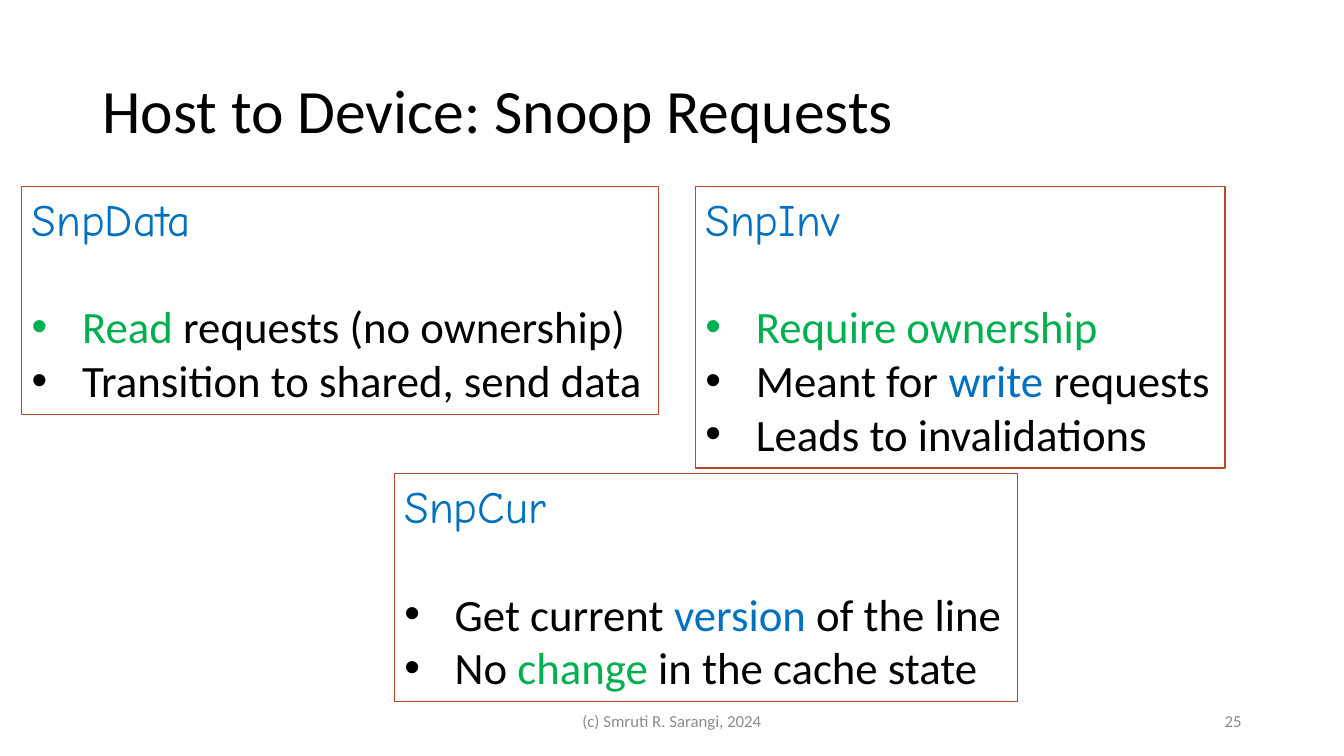
import pptx
import pptx.util
import pptx.dml.color
import pptx.enum.shapes
import pptx.enum.text
from lxml import etree
from pptx.oxml.ns import qn
from pptx.util import Cm

BLACK, WHITE, GREY = "000000", "FFFFFF", "8C8C8C"
BLUE, GREEN, RUST = "0070C0", "00B050", "B64926"
ALIGN = pptx.enum.text.PP_ALIGN
ANCHOR = pptx.enum.text.MSO_ANCHOR

# Each request: heading, position and size in cm, bullets made of (text, colour) runs
REQUESTS = [
    ("SnpData", (0.55, 4.7, 16.05, 5.74), [
        [("Read", GREEN), (" requests (no ownership)", BLACK)],
        [("Transition to shared, send data", BLACK)],
    ]),
    ("SnpInv", (17.53, 4.7, 13.34, 7.09), [
        [("Require ownership", GREEN)],
        [("Meant for ", BLACK), ("write", BLUE), (" requests", BLACK)],
        [("Leads to invalidations", BLACK)],
    ]),
    ("SnpCur", (9.94, 11.94, 15.7, 5.74), [
        [("Get current ", BLACK), ("version", BLUE), (" of the line", BLACK)],
        [("No ", BLACK), ("change", GREEN), (" in the cache state", BLACK)],
    ]),
]


def colour(value):
    return pptx.dml.color.RGBColor.from_string(value)


def add_text(paragraph, text, size=32, font="Calibri", color=BLACK):
    run = paragraph.add_run()
    run.text = text
    run.font.size = pptx.util.Pt(size)
    run.font.name = font
    run.font.color.rgb = colour(color)


def add_bullet(paragraph):
    properties = paragraph._p.get_or_add_pPr()
    properties.set("marL", str(Cm(1.27)))
    properties.set("indent", str(-Cm(1.27)))
    etree.SubElement(properties, qn("a:buFont")).set("typeface", "Arial")
    etree.SubElement(properties, qn("a:buChar")).set("char", "•")


def set_title(slide, text):
    title = slide.shapes.title
    title.left, title.top, title.width, title.height = map(Cm, (2.33, 1.02, 29.21, 3.68))
    title.text_frame.vertical_anchor = ANCHOR.MIDDLE
    paragraph = title.text_frame.paragraphs[0]
    paragraph.alignment = ALIGN.LEFT
    paragraph.line_spacing = 0.9
    add_text(paragraph, text, size=44)


def add_request_box(slide, heading, place, bullets):
    box = slide.shapes.add_shape(
        pptx.enum.shapes.MSO_SHAPE.RECTANGLE, *map(Cm, place))
    box.shadow.inherit = False
    box.fill.solid()
    box.fill.fore_color.rgb = colour(WHITE)
    box.line.color.rgb = colour(RUST)
    box.line.width = pptx.util.Pt(1)

    frame = box.text_frame
    frame.word_wrap = False
    frame.auto_size = pptx.enum.text.MSO_AUTO_SIZE.SHAPE_TO_FIT_TEXT
    frame.vertical_anchor = ANCHOR.TOP
    paragraph = frame.paragraphs[0]
    paragraph.alignment = ALIGN.LEFT
    add_text(paragraph, heading, font="Comic Neue", color=BLUE)

    for index, runs in enumerate(bullets):
        paragraph = frame.add_paragraph()
        paragraph.alignment = ALIGN.LEFT
        if index == 0:
            paragraph.space_before = pptx.util.Pt(38.4)
        add_bullet(paragraph)
        for text, color in runs:
            add_text(paragraph, text, color=color)


def add_footer(slide, text, left, width, alignment):
    box = slide.shapes.add_textbox(Cm(left), Cm(17.65), Cm(width), Cm(1.02))
    box.text_frame.word_wrap = True
    box.text_frame.vertical_anchor = ANCHOR.MIDDLE
    paragraph = box.text_frame.paragraphs[0]
    paragraph.alignment = alignment
    add_text(paragraph, text, size=12, color=GREY)


def main():
    presentation = pptx.Presentation()
    presentation.slide_width = Cm(33.87)
    presentation.slide_height = Cm(19.05)
    slide = presentation.slides.add_slide(presentation.slide_layouts[5])

    set_title(slide, "Host to Device: Snoop Requests")

    # Snoop request boxes
    for heading, place, bullets in REQUESTS:
        add_request_box(slide, heading, place, bullets)

    # Copyright line and slide number
    add_footer(slide, "(c) Smruti R. Sarangi, 2024", 11.22, 11.43, ALIGN.CENTER)
    add_footer(slide, "25", 23.92, 7.62, ALIGN.RIGHT)

    presentation.save("out.pptx")


if __name__ == "__main__":
    main()
